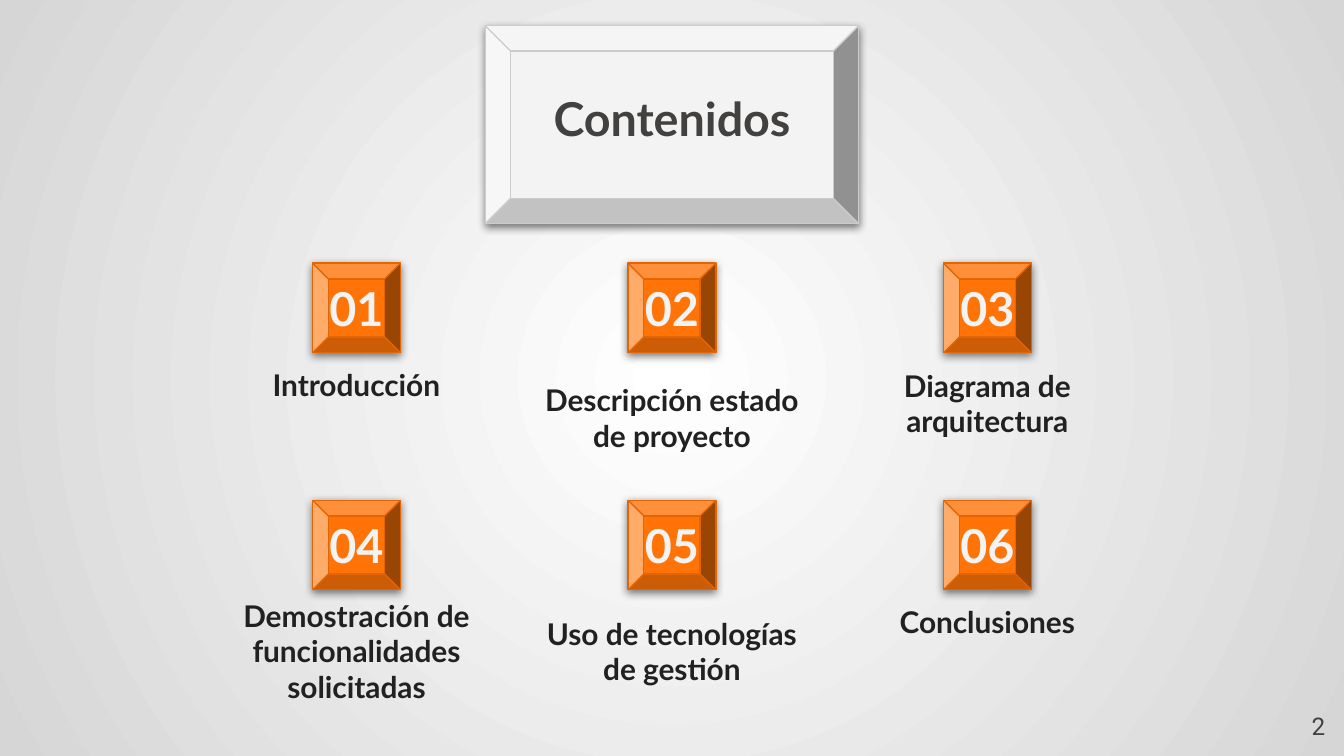
from dataclasses import dataclass
from lxml.etree import SubElement
from pptx import Presentation
from pptx.dml.color import RGBColor as Rgb
from pptx.enum.shapes import MSO_SHAPE as Kind
from pptx.enum.text import MSO_ANCHOR as Anchor, PP_ALIGN as Align
from pptx.oxml.ns import qn
from pptx.util import Pt


@dataclass(frozen=True)
class Theme:
    glow: str = "FFFFFF"
    edge: str = "D6D6D6"
    pale: str = "F3F3F3"
    rim: str = "CCCCCC"
    fire: str = "FF7307"
    rust: str = "E46503"
    gray: str = "42413F"
    ink: str = "212121"
    face: str = "Lato"
    plain: str = "Roboto"
    big: int = 25
    mid: int = 16
    small: int = 13


T = Theme()
# Text, then top, width and height of its label within the cell
ITEMS = [
    ("Introducción", 54, 158, 22.5),
    ("Descripción estado de proyecto", 54, 158, 57.6),
    ("Diagrama de arquitectura", 54, 158, 42),
    ("Demostración de funcionalidades solicitadas", 48, 176, 65.5),
    ("Uso de tecnologías de gestión", 48, 158, 65.5),
    ("Conclusiones", 54, 158, 22.5),
]
COLS = 3


def paint(slide):
    """Radial background, bright in the middle."""
    fill = slide.background.fill
    fill.gradient()
    for stop, color, at in zip(fill.gradient_stops, (T.glow, T.edge), (0, 1)):
        stop.color.rgb = Rgb.from_string(color)
        stop.position = at
    grad = slide.element.find(".//" + qn("a:gradFill"))
    grad.remove(grad.find(qn("a:lin")))
    ring = SubElement(grad, qn("a:path"), path="circle")
    SubElement(ring, qn("a:fillToRect"), dict.fromkeys("ltrb", "50000"))


def shade(shape):
    """Soft shadow straight below the shape."""
    shape.shadow.inherit = False
    list_ = shape.element.spPr.find(qn("a:effectLst"))
    drop = SubElement(list_, qn("a:outerShdw"), blurRad=str(Pt(4.5)),
                      dist=str(Pt(1.5)), dir="5400000", algn="bl", rotWithShape="0")
    color = SubElement(drop, qn("a:srgbClr"), val="000000")
    SubElement(color, qn("a:alpha"), val="50000")


def bevel(slide, box, depth, fill, line):
    shape = slide.shapes.add_shape(Kind.BEVEL, *map(Pt, box))
    shape.adjustments[0] = depth
    shape.fill.solid()
    shape.fill.fore_color.rgb = Rgb.from_string(fill)
    shape.line.color.rgb = Rgb.from_string(line)
    shape.line.width = Pt(0.75)
    shade(shape)


def write(slide, box, text, size, color, face=T.face, bold=True,
          align=Align.CENTER, anchor=Anchor.MIDDLE, space=1.0):
    frame = slide.shapes.add_textbox(*map(Pt, box)).text_frame
    frame.word_wrap = True
    frame.vertical_anchor = anchor
    frame.margin_left = frame.margin_right = Pt(7.2)
    frame.margin_top = frame.margin_bottom = Pt(7.2)
    para = frame.paragraphs[0]
    para.alignment = align
    para.line_spacing = space
    run = para.add_run()
    run.text = text
    run.font.name = face
    run.font.size = Pt(size)
    run.font.bold = bold
    run.font.color.rgb = Rgb.from_string(color)


def header(slide, box):
    x, y, w, h = box
    bevel(slide, box, 0.128, T.pale, T.rim)
    write(slide, (x + 14, y - 6, w - 28, h + 10), "Contenidos", T.big, T.gray, space=0.8)


def cell(slide, box, num, item):
    """Numbered tile at the top of the box, its label below."""
    x, y, w, _ = box
    mid = x + w / 2
    text, top, wide, high = item
    bevel(slide, (mid - 23.5, y, 47, 48), 0.179, T.fire, T.rust)
    write(slide, (mid - wide / 2, y + top, wide, high), text, T.mid, T.ink)
    write(slide, (mid - 35, y + 10.5, 70, 27), f"{num:02}", T.big, T.pale)


def agenda(slide, box):
    x, y, w, h = box
    wide, high = w / COLS, h / (len(ITEMS) // COLS)
    for i, item in enumerate(ITEMS):
        row, col = divmod(i, COLS)
        cell(slide, (x + col * wide, y + row * high, wide, high), i + 1, item)


def footer(slide, box):
    write(slide, box, "2", T.small, T.gray, T.plain, False, Align.RIGHT, Anchor.TOP)


def main():
    deck = Presentation()
    deck.slide_width, deck.slide_height = Pt(720), Pt(405)
    slide = deck.slides.add_slide(deck.slide_layouts[6])
    paint(slide)
    header(slide, (260, 13.8, 200, 106))
    agenda(slide, (106.5, 141, 507, 254))
    footer(slide, (674, 373.7, 43, 31))
    deck.save("out.pptx")


if __name__ == "__main__":
    main()
